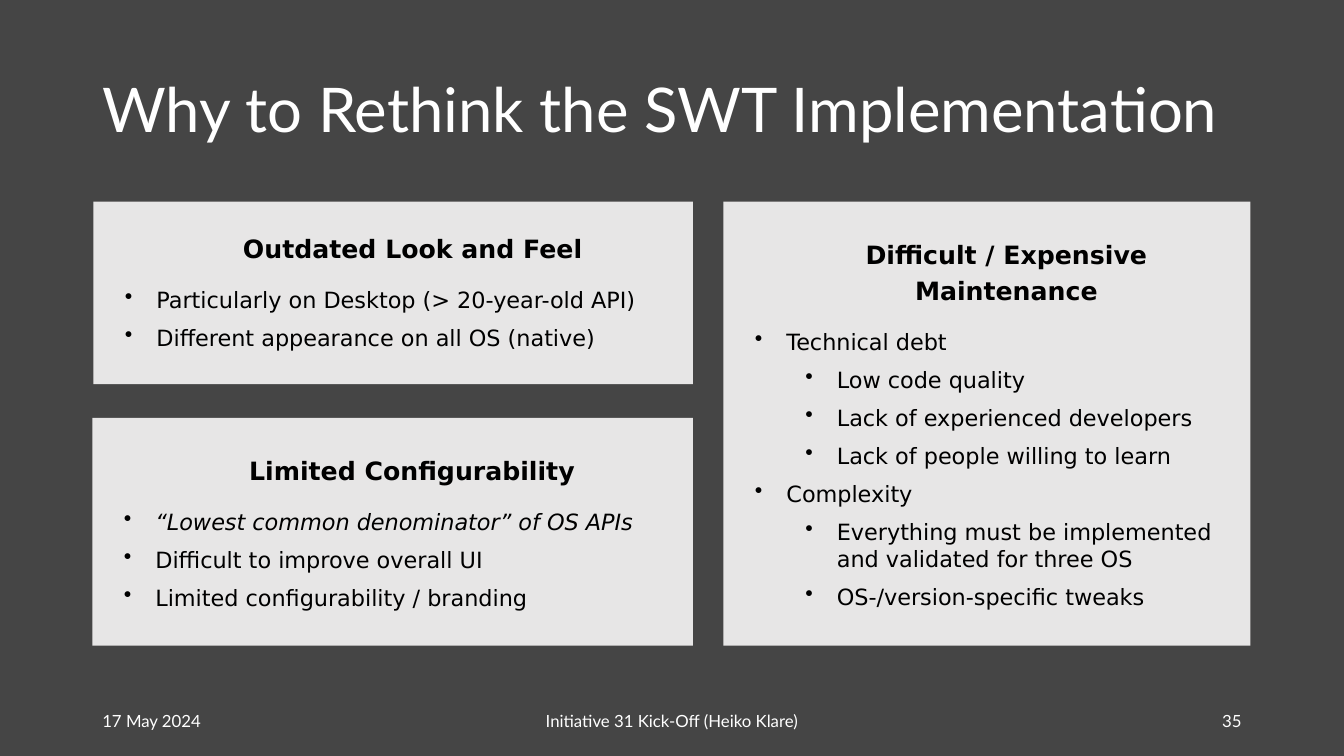
from dataclasses import dataclass

from lxml.etree import SubElement
from pptx import Presentation
from pptx.dml.color import RGBColor
from pptx.enum.shapes import MSO_SHAPE
from pptx.enum.text import MSO_ANCHOR, MSO_AUTO_SIZE, PP_ALIGN
from pptx.oxml.ns import qn
from pptx.slide import Slide
from pptx.util import Emu, Pt

EMU_PER_PX = 9525
BACKGROUND = RGBColor(0x45, 0x45, 0x45)
CARD_FILL = RGBColor(0xE7, 0xE6, 0xE6)
WHITE = RGBColor(0xFF, 0xFF, 0xFF)
BLACK = RGBColor(0x00, 0x00, 0x00)
LABEL_FONT = "Lato"
CARD_FONT = "DejaVu Sans"
CARD_INSET = 30
HEADING_INDENT = 37
BULLET_HANG = 30
LEVEL_STEP = 48


@dataclass(frozen=True)
class Area:
    left: int
    top: int
    width: int
    height: int


@dataclass(frozen=True)
class Label:
    area: Area
    text: str
    size: int = 12
    align: PP_ALIGN = PP_ALIGN.LEFT
    line_spacing: float = 1.0


@dataclass(frozen=True)
class Bullet:
    text: str
    level: int = 0
    italic: bool = False


@dataclass(frozen=True)
class Card:
    area: Area
    heading: str
    bullets: tuple[Bullet, ...]
    heading_spacing: float = 1.2


LABELS = (
    Label(Area(88, 38, 1104, 139), "Why to Rethink the SWT Implementation", 44, line_spacing=0.9),
    Label(Area(88, 667, 288, 38), "17 May 2024"),
    Label(Area(424, 667, 432, 38), "Initiative 31 Kick-Off (Heiko Klare)", align=PP_ALIGN.CENTER),
    Label(Area(904, 667, 288, 38), "35", align=PP_ALIGN.RIGHT),
)

CARDS = (
    Card(
        Area(89, 192, 571, 174),
        "Outdated Look and Feel",
        (
            Bullet("Particularly on Desktop (> 20-year-old API)"),
            Bullet("Different appearance on all OS (native)"),
        ),
        heading_spacing=1.0,
    ),
    Card(
        Area(689, 192, 502, 423),
        "Difficult / Expensive Maintenance",
        (
            Bullet("Technical debt"),
            Bullet("Low code quality", 1),
            Bullet("Lack of experienced developers", 1),
            Bullet("Lack of people willing to learn", 1),
            Bullet("Complexity"),
            Bullet("Everything must be implemented and validated for three OS", 1),
            Bullet("OS-/version-specific tweaks", 1),
        ),
    ),
    Card(
        Area(88, 398, 572, 217),
        "Limited Configurability",
        (
            Bullet("“Lowest common denominator” of OS APIs", italic=True),
            Bullet("Difficult to improve overall UI"),
            Bullet("Limited configurability / branding"),
        ),
    ),
)


def px(length: int) -> Emu:
    return Emu(length * EMU_PER_PX)


def bounds(area: Area) -> tuple[Emu, Emu, Emu, Emu]:
    return px(area.left), px(area.top), px(area.width), px(area.height)


def add_span(para, text: str, font: str, size: int, color: RGBColor,
             bold: bool = False, italic: bool = False) -> None:
    span = para.add_run()
    span.text = text
    span.font.name = font
    span.font.size = Pt(size)
    span.font.color.rgb = color
    span.font.bold = bold
    span.font.italic = italic


def draw_label(page: Slide, label: Label) -> None:
    box = page.shapes.add_textbox(*bounds(label.area))
    frame = box.text_frame
    frame.word_wrap = True
    frame.vertical_anchor = MSO_ANCHOR.MIDDLE
    para = frame.paragraphs[0]
    para.alignment = label.align
    para.line_spacing = label.line_spacing
    add_span(para, label.text, LABEL_FONT, label.size, WHITE)


def add_bullet(frame, bullet: Bullet) -> None:
    para = frame.add_paragraph()
    para.level = bullet.level
    para.alignment = PP_ALIGN.LEFT
    para.space_before = Pt(8)
    properties = para._p.get_or_add_pPr()
    properties.set("marL", str(px(BULLET_HANG + bullet.level * LEVEL_STEP)))
    properties.set("indent", str(px(-BULLET_HANG)))
    SubElement(properties, qn("a:buChar")).set("char", "•")
    add_span(para, bullet.text, CARD_FONT, 16, BLACK, italic=bullet.italic)


def draw_card(page: Slide, card: Card) -> None:
    box = page.shapes.add_shape(MSO_SHAPE.RECTANGLE, *bounds(card.area))
    box.shadow.inherit = False
    box.fill.solid()
    box.fill.fore_color.rgb = CARD_FILL
    box.line.fill.background()
    frame = box.text_frame
    frame.word_wrap = True
    frame.auto_size = MSO_AUTO_SIZE.SHAPE_TO_FIT_TEXT
    frame.vertical_anchor = MSO_ANCHOR.TOP
    frame.margin_left = frame.margin_right = px(CARD_INSET)
    frame.margin_top = frame.margin_bottom = px(CARD_INSET)
    para = frame.paragraphs[0]
    para.alignment = PP_ALIGN.CENTER
    para.line_spacing = card.heading_spacing
    para.space_after = Pt(8)
    para._p.get_or_add_pPr().set("marL", str(px(HEADING_INDENT)))
    add_span(para, card.heading, CARD_FONT, 18, BLACK, bold=True)
    for bullet in card.bullets:
        add_bullet(frame, bullet)


def main() -> None:
    deck = Presentation()
    deck.slide_width = px(1280)
    deck.slide_height = px(720)
    page = deck.slides.add_slide(deck.slide_layouts[6])
    page.background.fill.solid()
    page.background.fill.fore_color.rgb = BACKGROUND
    for card in CARDS:
        draw_card(page, card)
    for label in LABELS:
        draw_label(page, label)
    deck.save("out.pptx")


if __name__ == "__main__":
    main()
